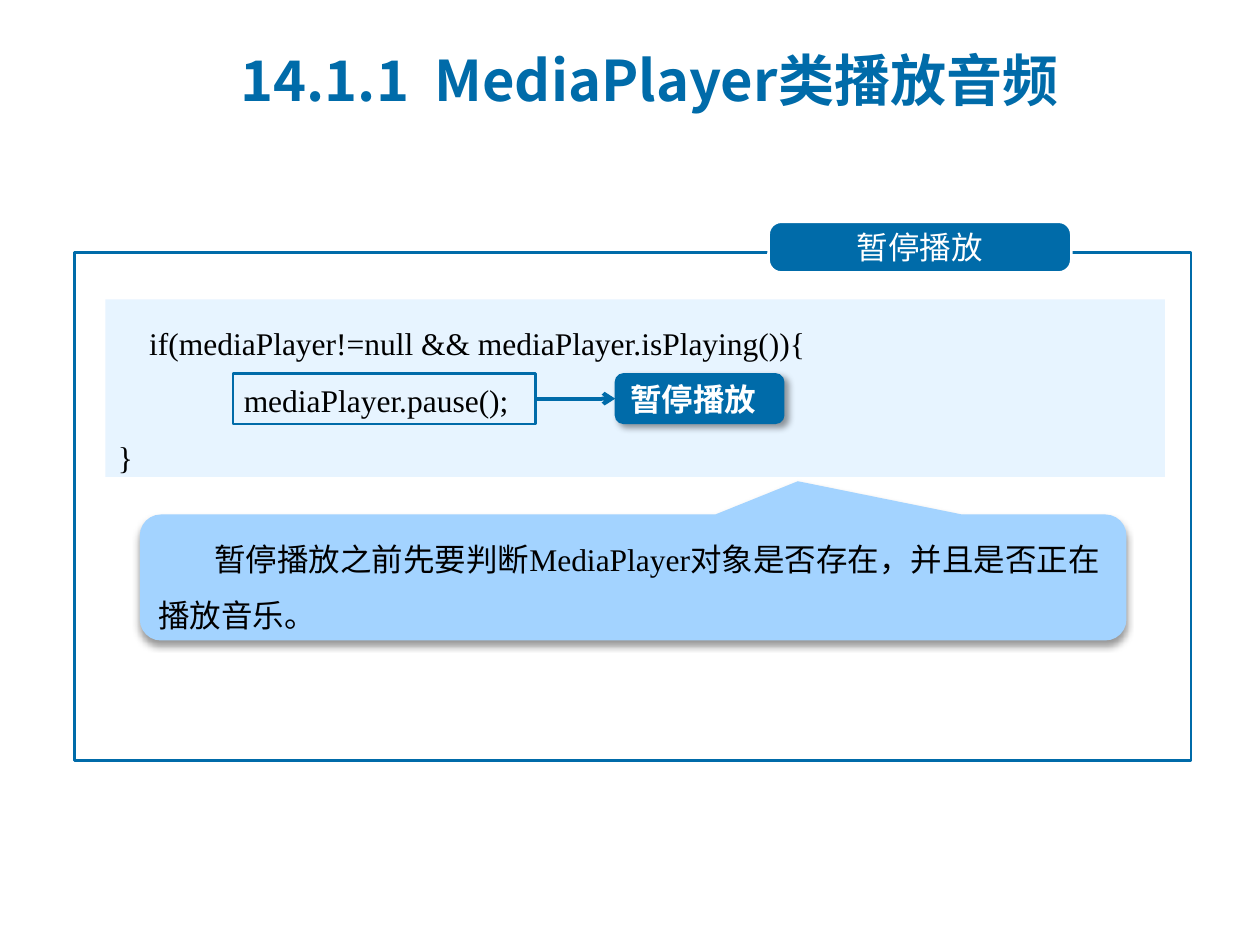
"""Build the slide on pausing audio playback with MediaPlayer."""
from dataclasses import dataclass
from typing import Optional

from lxml.etree import SubElement
from pptx import Presentation
from pptx.dml.color import RGBColor
from pptx.enum.shapes import MSO_CONNECTOR as Connector, MSO_SHAPE as Shape
from pptx.enum.text import MSO_ANCHOR as Anchor, MSO_AUTO_SIZE as AutoSize, PP_ALIGN as Align
from pptx.oxml.ns import qn
from pptx.util import Pt

COLORS = {
    "blue": "006BA9",
    "pale": "E7F4FF",
    "sky": "A3D3FF",
    "white": "FFFFFF",
    "black": "000000",
}
SANS, SERIF, BODY = "Noto Sans CJK SC", "Times New Roman", "Calibri"


@dataclass
class Panel:
    """Place and look of one filled or outlined shape, in points."""
    left: float
    top: float
    width: float
    height: float
    kind: Shape = Shape.RECTANGLE
    fill: Optional[str] = None
    line: Optional[str] = None
    line_width: float = 1.5
    adjustments: tuple = ()
    shadow_angle: Optional[int] = None


CODE = Panel(60.2, 171, 605.5, 101.5, fill="pale")
CALL_FRAME = Panel(133.2, 213.3, 172.8, 29, line="blue")
CALL_TAG = Panel(351.6, 213.6, 96.3, 28.4, Shape.ROUNDED_RECTANGLE, "blue", "blue", 0.75,
                 shadow_angle=45)
CALLOUT = Panel(79.9, 294, 563.8, 72, Shape.ROUNDED_RECTANGULAR_CALLOUT, "sky",
                adjustments=(0.167, -0.764, 0.167), shadow_angle=90)
FRAME = Panel(42.5, 144.4, 638.2, 290.2, line="blue")
HEADING = Panel(439.2, 126.7, 173, 29, Shape.ROUNDED_RECTANGLE, "blue", "white",
                adjustments=(0.25,))


def rgb(name: str) -> RGBColor:
    """Return the palette colour of that name."""
    return RGBColor.from_string(COLORS[name])


def add_shadow(box, angle: int) -> None:
    """Give a shape a soft outer shadow."""
    effects = box._element.spPr.find(qn("a:effectLst"))
    shadow = SubElement(effects, qn("a:outerShdw"), blurRad=str(Pt(4)), dist=str(Pt(3)),
                        dir=str(angle * 60000), algn="tl", rotWithShape="0")
    color = SubElement(shadow, qn("a:srgbClr"), val=COLORS["black"])
    SubElement(color, qn("a:alpha"), val="40000")


def add_panel(page, panel: Panel):
    """Draw a panel and return its shape."""
    box = page.shapes.add_shape(panel.kind, Pt(panel.left), Pt(panel.top),
                                Pt(panel.width), Pt(panel.height))
    for index, value in enumerate(panel.adjustments):
        box.adjustments[index] = value
    if panel.fill:
        box.fill.solid()
        box.fill.fore_color.rgb = rgb(panel.fill)
    else:
        box.fill.background()
    if panel.line:
        box.line.color.rgb = rgb(panel.line)
        box.line.width = Pt(panel.line_width)
    else:
        box.line.fill.background()
    box.shadow.inherit = False
    if panel.shadow_angle is not None:
        add_shadow(box, panel.shadow_angle)
    return box


def write(box, paragraphs: list, *, size: float = 18, color: str = "black", bold: bool = False,
          align: Align = Align.LEFT, anchor: Anchor = Anchor.MIDDLE,
          spacing: float = 1.0, indent: float = 0, tab_stop: float = 0) -> None:
    """Fill a shape with paragraphs, each a list of (text, font) spans."""
    frame = box.text_frame
    frame.word_wrap = True
    frame.auto_size = AutoSize.NONE
    frame.vertical_anchor = anchor
    for index, spans in enumerate(paragraphs):
        para = frame.paragraphs[0] if index == 0 else frame.add_paragraph()
        para.alignment = align
        para.line_spacing = spacing
        properties = para._p.get_or_add_pPr()
        if indent:
            properties.set("indent", str(Pt(indent)))
        if tab_stop:
            tabs = SubElement(properties, qn("a:tabLst"))
            SubElement(tabs, qn("a:tab"), pos=str(Pt(tab_stop)), algn="l")
        for text, font in spans:
            span = para.add_run()
            span.text = text
            span.font.name = font
            span.font.size = Pt(size)
            span.font.bold = bold
            span.font.color.rgb = rgb(color)
            SubElement(span._r.get_or_add_rPr(), qn("a:ea"), typeface=SANS)


def add_arrow(page, source, target) -> None:
    """Join the right side of one shape to the left side of another."""
    arrow = page.shapes.add_connector(Connector.STRAIGHT, 0, 0, 0, 0)
    arrow.begin_connect(source, 3)
    arrow.end_connect(target, 1)
    arrow.line.color.rgb = rgb("blue")
    arrow.line.width = Pt(2.25)
    SubElement(arrow.line._get_or_add_ln(), qn("a:tailEnd"), type="arrow")
    SubElement(arrow._element.spPr, qn("a:effectLst"))


def main() -> None:
    """Build and save the deck."""
    deck = Presentation()
    deck.slide_width, deck.slide_height = Pt(720), Pt(540)
    page = deck.slides.add_slide(deck.slide_layouts[5])

    title = page.shapes.title
    title.left, title.top, title.width, title.height = Pt(130.3), Pt(15.1), Pt(524.2), Pt(60.5)
    write(title, [[("14.1.1  MediaPlayer类播放音频", SANS)]], size=32, color="blue", bold=True)

    code_lines = [
        "    if(mediaPlayer!=null && mediaPlayer.isPlaying()){",
        "\tmediaPlayer.pause();",
        "}",
    ]
    write(add_panel(page, CODE), [[(line, SERIF)] for line in code_lines],
          anchor=Anchor.TOP, spacing=1.5, tab_stop=72)

    call_frame = add_panel(page, CALL_FRAME)
    call_tag = add_panel(page, CALL_TAG)
    write(call_tag, [[("暂停播放", BODY)]], color="white", bold=True)
    add_arrow(page, call_frame, call_tag)

    note = [
        ("暂停播放之前先要判断", BODY),
        ("MediaPlayer", SERIF),
        ("对象是否存在，并且是否正在播放音乐。", BODY),
    ]
    write(add_panel(page, CALLOUT), [note], spacing=1.5, indent=32)

    add_panel(page, FRAME)
    write(add_panel(page, HEADING), [[("暂停播放", SANS)]], color="white", align=Align.CENTER)

    deck.save("out.pptx")


if __name__ == "__main__":
    main()
